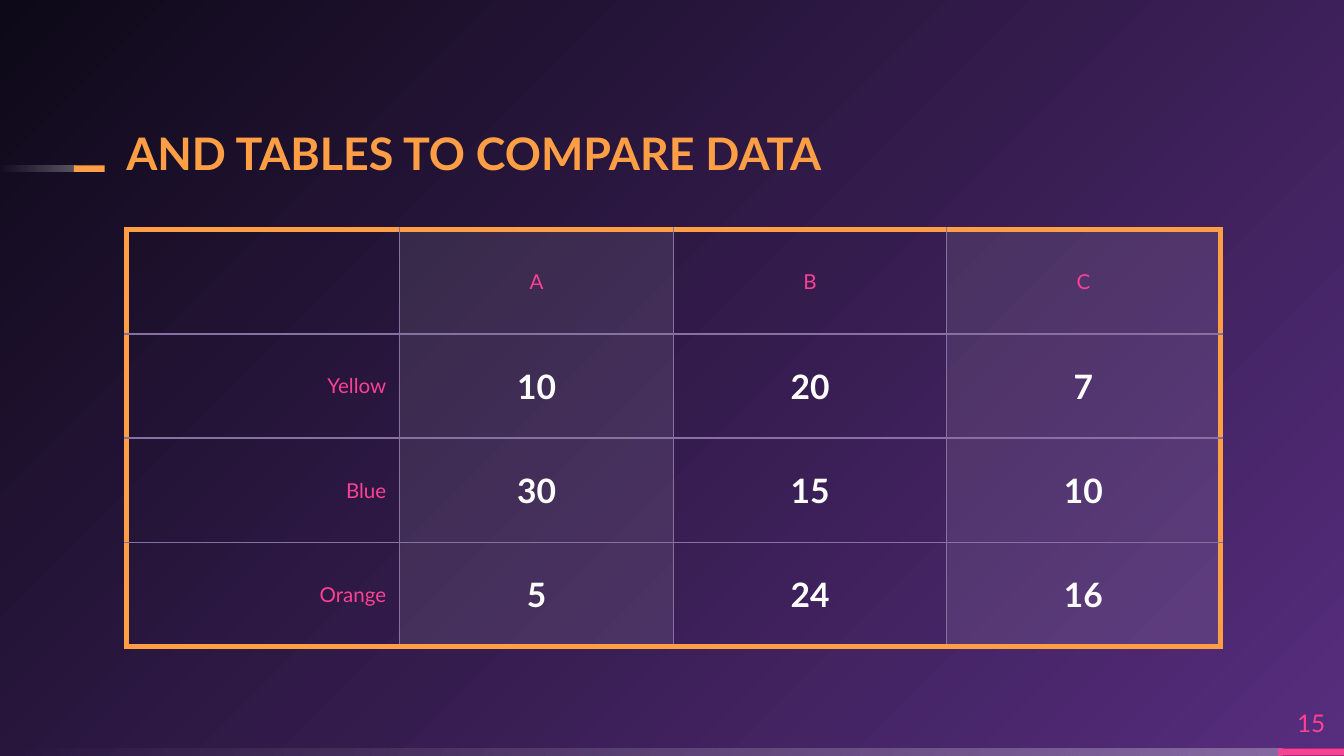
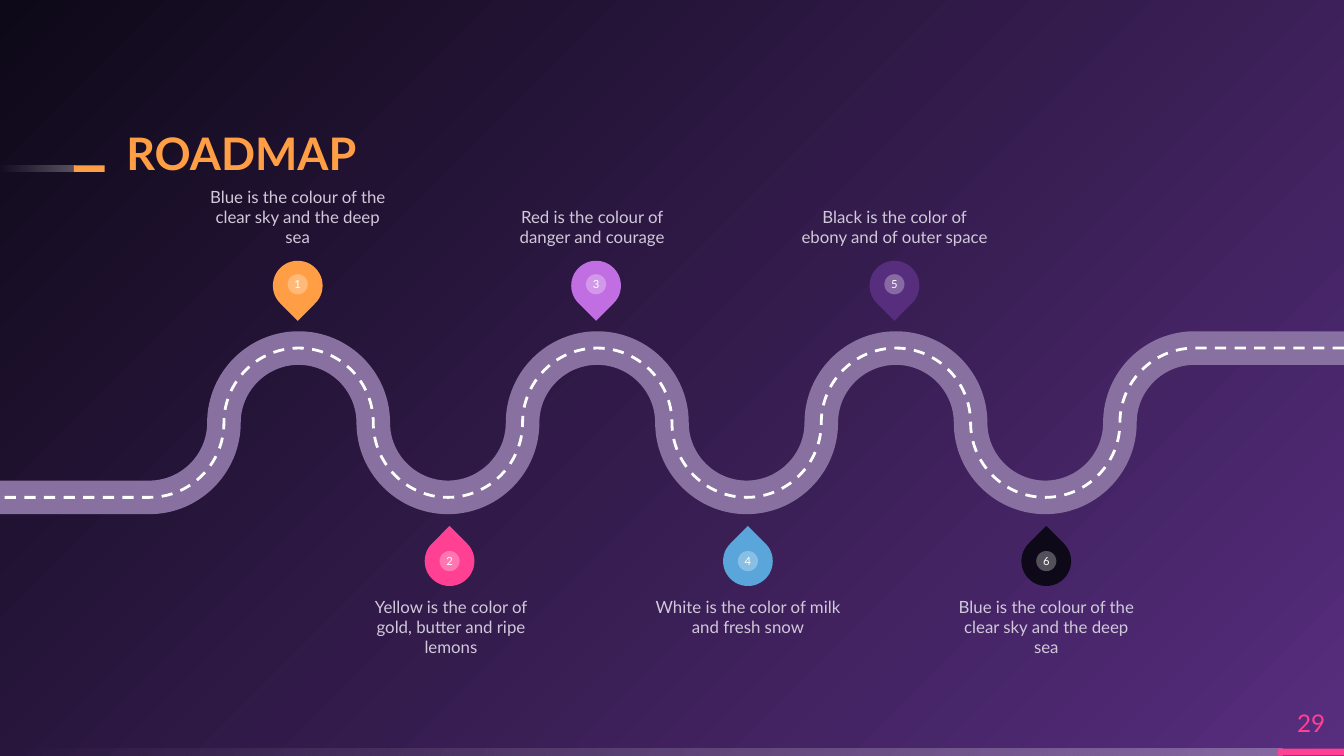
"""Build a table slide and a roadmap slide on one dark gradient theme."""
from dataclasses import dataclass

from lxml import etree
from pptx import Presentation
from pptx.dml.color import RGBColor
from pptx.dml.fill import FillFormat
from pptx.enum.dml import MSO_LINE
from pptx.enum.shapes import MSO_SHAPE
from pptx.enum.text import MSO_ANCHOR, MSO_AUTO_SIZE, PP_ALIGN
from pptx.oxml.ns import qn
from pptx.shapes.autoshape import Shape
from pptx.shapes.shapetree import SlideShapes
from pptx.slide import Slide
from pptx.table import _Cell
from pptx.text.text import TextFrame
from pptx.util import Inches, Pt

RECT, OVAL, DROP = MSO_SHAPE.RECTANGLE, MSO_SHAPE.OVAL, MSO_SHAPE.TEAR
LEFT, MID, RIGHT = PP_ALIGN.LEFT, PP_ALIGN.CENTER, PP_ALIGN.RIGHT
TOP, CORE, BASE = MSO_ANCHOR.TOP, MSO_ANCHOR.MIDDLE, MSO_ANCHOR.BOTTOM
DASH, FIXED = MSO_LINE.DASH, MSO_AUTO_SIZE.NONE


@dataclass(frozen=True)
class Theme:
    """Colours, font, type sizes and opacities."""
    font: str = "Lato"
    dark: str = "0E0918"
    plum: str = "572D7E"
    mauve: str = "8870A0"
    lilac: str = "C06EE2"
    pale: str = "D1C8DA"
    white: str = "FFFFFF"
    pink: str = "FF4093"
    gold: str = "FF9E44"
    blue: str = "5AA5DA"
    head: float = 24
    value: float = 18
    page: float = 13
    label: float = 11
    note: float = 9
    badge: float = 6
    veil: int = 29
    tint: int = 9


LOOK = Theme()


@dataclass(frozen=True)
class Box:
    """A place in inches."""
    left: float
    top: float
    width: float
    height: float

    def emu(self) -> tuple[int, ...]:
        """Return the four lengths as EMU."""
        return tuple(Inches(n) for n in (self.left, self.top, self.width, self.height))


@dataclass(frozen=True)
class Band:
    """A thin bar; without a colour it fades out to the left."""
    box: Box
    hue: str = ""


@dataclass(frozen=True)
class Pin:
    """A numbered stop on the road with its note."""
    hue: str
    note_x: float
    note: str


BANDS = (
    Band(Box(0, 5.57, 9.54, 0.05)),
    Band(Box(9.51, 5.57, 0.49, 0.05), LOOK.pink),
    Band(Box(0, 1.23, 0.56, 0.05)),
    Band(Box(0.55, 1.23, 0.23, 0.05), LOOK.gold),
)
TITLE = Box(0.94, 0.91, 5.8, 0.43)
PAGE = Box(9.51, 5.19, 0.49, 0.38)
GRID = Box(0.94, 1.71, 8.14, 3.1)
ROWS = (
    ("", "A", "B", "C"),
    ("Yellow", "10", "20", "7"),
    ("Blue", "30", "15", "10"),
    ("Orange", "5", "24", "16"),
)
SKY = "Blue is the colour of the clear sky and the deep sea"
PINS = (
    Pin(LOOK.gold, 1.51, SKY),
    Pin(LOOK.pink, 2.65, "Yellow is the color of gold, butter and ripe lemons"),
    Pin(LOOK.lilac, 3.7, "Red is the colour of danger and courage"),
    Pin(LOOK.blue, 4.86, "White is the color of milk and fresh snow"),
    Pin(LOOK.plum, 5.95, "Black is the color of ebony and of outer space"),
    Pin(LOOK.dark, 7.08, SKY),
)


def rgb(hue: str) -> RGBColor:
    """Turn a hex string into a colour."""
    return RGBColor.from_string(hue)


def fade(root: etree._Element, *shares: int) -> None:
    """Set the opacity, in percent, of the colours under a node."""
    for node, share in zip(list(root.iter(qn("a:srgbClr"))), shares):
        etree.SubElement(node, qn("a:alpha"), val=str(share * 1000))


def blend(fill: FillFormat, first: str, last: str) -> None:
    """Fill with a gradient of two colours, from right to left."""
    fill.gradient()
    fill.gradient_angle = 180
    for stop, hue, place in zip(fill.gradient_stops, (first, last), (0, 1)):
        stop.color.rgb = rgb(hue)
        stop.position = place


def write(frame: TextFrame, text: str, size: float, hue: str, align: PP_ALIGN = MID,
          anchor: MSO_ANCHOR = CORE, bold: bool = False) -> None:
    """Put one formatted run into a frame without margins."""
    frame.margin_left = frame.margin_right = frame.margin_top = frame.margin_bottom = 0
    frame.word_wrap = True
    frame.auto_size = FIXED
    frame.vertical_anchor = anchor
    put_run(frame, text, size, hue, align, bold)


def put_run(frame: TextFrame, text: str, size: float, hue: str,
            align: PP_ALIGN, bold: bool) -> None:
    """Add a run to the first paragraph of a frame."""
    para = frame.paragraphs[0]
    para.alignment = align
    run = para.add_run()
    run.text = text
    font = run.font
    font.name, font.size, font.bold = LOOK.font, Pt(size), bold
    font.color.rgb = rgb(hue)


def draw(shapes: SlideShapes, kind: MSO_SHAPE, box: Box, hue: str) -> Shape:
    """Add a flat preset shape."""
    shape = shapes.add_shape(kind, *box.emu())
    shape.shadow.inherit = False
    shape.line.fill.background()
    shape.fill.solid()
    shape.fill.fore_color.rgb = rgb(hue)
    return shape


def backdrop(deck: Presentation) -> None:
    """Give the master a round gradient from the bottom right corner."""
    master = deck.slide_master
    blend(master.background.fill, LOOK.plum, LOOK.dark)
    grad = next(master.element.iter(qn("a:gradFill")))
    ring = etree.Element(qn("a:path"), path="circle")
    etree.SubElement(ring, qn("a:fillToRect"), l="100000", t="100000")
    grad.replace(grad.find(qn("a:lin")), ring)


def add_page(deck: Presentation, title: str, number: int) -> Slide:
    """Add a slide with bands, title and page number."""
    slide = deck.slides.add_slide(deck.slide_layouts[5])
    for band in BANDS:
        bar = draw(slide.shapes, RECT, band.box, band.hue or LOOK.white)
        if not band.hue:
            blend(bar.fill, LOOK.white, LOOK.white)
            fade(bar.element, LOOK.veil, 0)
    head = slide.shapes.title
    head.left, head.top, head.width, head.height = TITLE.emu()
    write(head.text_frame, title, LOOK.head, LOOK.gold, LEFT, BASE, True)
    head.text_frame.paragraphs[0].line_spacing = 0.9
    mark = slide.shapes.add_textbox(*PAGE.emu())
    write(mark.text_frame, str(number), LOOK.page, LOOK.pink)
    return slide


def edge(cell: _Cell, outer: dict[str, bool]) -> None:
    """Draw the four borders of a cell, heavy on the outer sides."""
    props = cell._tc.get_or_add_tcPr()
    for spot, (side, heavy) in enumerate(outer.items()):
        line = etree.Element(qn(f"a:ln{side}"), w=str(Pt(3 if heavy else 0.75)))
        paint = etree.SubElement(line, qn("a:solidFill"))
        etree.SubElement(paint, qn("a:srgbClr"), val=LOOK.gold if heavy else LOOK.mauve)
        props.insert(spot, line)


def add_grid(slide: Slide) -> None:
    """Add the table that compares the data."""
    count, last = len(ROWS), len(ROWS) - 1
    table = slide.shapes.add_table(count, count, *GRID.emu()).table
    table.first_row = table.horz_banding = False
    for y, row in enumerate(ROWS):
        for x, text in enumerate(row):
            cell = table.cell(y, x)
            cell.vertical_anchor = CORE
            cell.margin_left = cell.margin_right = Inches(0.1)
            cell.margin_top = cell.margin_bottom = Inches(0.07)
            if x % 2:
                cell.fill.solid()
                cell.fill.fore_color.rgb = rgb(LOOK.white)
                fade(cell._tc.get_or_add_tcPr(), LOOK.tint)
            else:
                cell.fill.background()
            edge(cell, {"L": x == 0, "R": x == last, "T": y == 0, "B": y == last})
            if text:
                data = x > 0 and y > 0
                put_run(cell.text_frame, text, LOOK.value if data else LOOK.label,
                        LOOK.white if data else LOOK.pink, MID if x else RIGHT, data)


def bend(road: Shape) -> None:
    """Turn all but the end segments of a road into quarter circles."""
    route = next(road.element.iter(qn("a:path")))
    nodes = list(route)
    spots = [(int(n[0].get("x")), int(n[0].get("y"))) for n in nodes]
    for k in range(2, len(nodes) - 1):
        (ax, ay), (bx, by) = spots[k - 1], spots[k]
        dx, dy = round((bx - ax) * 0.55), round((by - ay) * 0.55)
        if k % 2 == 0:
            pulls = ((ax + dx, ay), (bx, by - dy))
        else:
            pulls = ((ax, ay + dy), (bx - dx, by))
        curve = etree.Element(qn("a:cubicBezTo"))
        for x, y in (*pulls, (bx, by)):
            etree.SubElement(curve, qn("a:pt"), x=str(x), y=str(y))
        route.replace(nodes[k], curve)


def add_road(slide: Slide, hue: str, width: float, dashed: bool) -> None:
    """Draw the winding road as one open line."""
    step = Inches(10) / 18
    crest = Inches(2.59)
    rise = (0, 1, 2, 1)
    turns = [(step * (16 - k), crest + step * rise[k % 4]) for k in range(15)]
    pen = slide.shapes.build_freeform(Inches(10), crest)
    pen.add_line_segments([*turns, (0, crest + step * 2)], close=False)
    road = pen.convert_to_shape()
    bend(road)
    road.shadow.inherit = False
    road.fill.background()
    road.line.color.rgb = rgb(hue)
    road.line.width = Pt(width)
    if dashed:
        road.line.dash_style = DASH


def add_pin(slide: Slide, index: int, pin: Pin) -> None:
    """Add a pin with its badge and note, above or below the road."""
    turn, low = divmod(index, 2)
    left = (3.16 if low else 2.03) + 2.22 * turn
    group = slide.shapes.add_group_shape().shapes
    drop = draw(group, DROP, Box(left, 3.99 if low else 1.94, 0.37, 0.37), pin.hue)
    drop.rotation = 315 if low else 135
    badge = draw(group, OVAL, Box(left + 0.11, 4.1 if low else 2.04, 0.15, 0.15), LOOK.white)
    fade(badge.element.spPr, LOOK.veil)
    write(badge.text_frame, str(index + 1), LOOK.badge, LOOK.white)
    box = Box(pin.note_x, 4.44 if low else 1.26, 1.41, 0.58)
    note = slide.shapes.add_textbox(*box.emu())
    write(note.text_frame, pin.note, LOOK.note, LOOK.pale, MID, TOP if low else BASE)


def main() -> None:
    """Build and save the deck."""
    deck = Presentation()
    deck.slide_width = Inches(10)
    deck.slide_height = deck.slide_width * 9 // 16
    backdrop(deck)
    add_grid(add_page(deck, "AND TABLES TO COMPARE DATA", 15))
    plan = add_page(deck, "ROADMAP", 29)
    add_road(plan, LOOK.mauve, 18, False)
    add_road(plan, LOOK.white, 1.5, True)
    for index, pin in enumerate(PINS):
        add_pin(plan, index, pin)
    deck.save("out.pptx")


if __name__ == "__main__":
    main()
